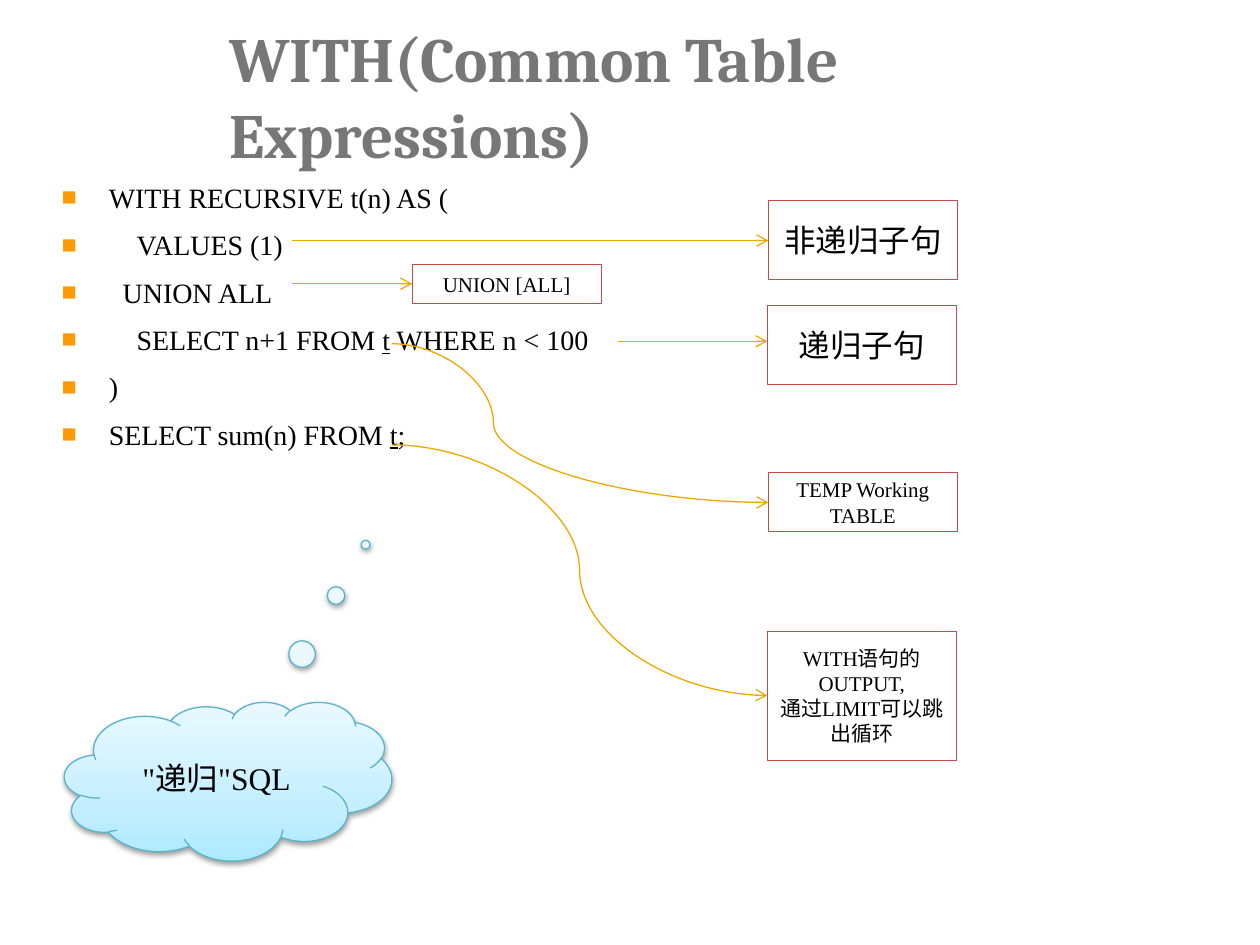
"""Build a slide that explains recursive common table expressions."""
from typing import NamedTuple, Optional

from lxml.etree import SubElement as Sub
from pptx import Presentation
from pptx.dml.color import RGBColor
from pptx.enum.shapes import MSO_CONNECTOR as Link, MSO_SHAPE as Kind
from pptx.enum.text import MSO_ANCHOR as Anchor, MSO_AUTO_SIZE as Fit, PP_ALIGN as Align
from pptx.oxml.ns import qn
from pptx.util import Cm, Pt

BLACK = RGBColor(0x00, 0x00, 0x00)
WHITE = RGBColor(0xFF, 0xFF, 0xFF)
GREY = RGBColor(0x77, 0x77, 0x77)
ORANGE = RGBColor(0xFF, 0x99, 0x00)
RED = RGBColor(0xC6, 0x48, 0x47)
GOLD = RGBColor(0xEB, 0xA9, 0x00)
TEAL = RGBColor(0x5B, 0xB3, 0xCA)
SKY = (
    (0, RGBColor(0xAD, 0xE9, 0xFF)),
    (35, RGBColor(0xC5, 0xEF, 0xFF)),
    (100, RGBColor(0xE9, 0xF9, 0xFF)),
)
SERIF = "Times New Roman"
HANG = 0.95
WIDE = 3.81


class Code(NamedTuple):
    runs: tuple[str, ...]
    shift: float = 0


class Box(NamedTuple):
    x: float
    y: float
    high: float
    size: int
    lines: tuple[str, ...]


class Arrow(NamedTuple):
    x1: float
    y1: float
    x2: float
    y2: float
    bend: Optional[float] = None


CODE = (
    Code(("WITH RECURSIVE t(n) AS (",)),
    Code(("VALUES (1)",), 0.56),
    Code(("UNION ALL",), 0.28),
    Code(("SELECT n+1 FROM ", "t", " WHERE n < 100"), 0.56),
    Code((")",)),
    Code(("SELECT sum(n) FROM ", "t", ";")),
)
BOXES = (
    Box(15.49, 4.04, 1.6, 18, ("非递归子句",)),
    Box(15.47, 6.15, 1.6, 18, ("递归子句",)),
    Box(8.31, 5.33, 0.79, 12, ("UNION [ALL]",)),
    Box(15.49, 9.53, 1.19, 12, ("TEMP Working TABLE",)),
    Box(15.47, 12.73, 2.59, 12, ("WITH语句的OUTPUT,", "通过LIMIT可以跳出循环")),
)
ARROWS = (
    Arrow(5.89, 4.85, 15.49, 4.85),
    Arrow(12.45, 6.88, 15.47, 6.88),
    Arrow(5.89, 5.72, 8.31, 5.72),
    Arrow(7.9, 6.93, 15.49, 10.13, 0.27),
    Arrow(7.9, 8.97, 15.47, 14.02, 0.5),
)


def place(shape, x: float, y: float, wide: float, high: float) -> None:
    shape.left, shape.top, shape.width, shape.height = map(Cm, (x, y, wide, high))


def add_run(para, text: str, size: int, color=BLACK, face: str = SERIF):
    run = para.add_run()
    run.text = text
    run.font.size = Pt(size)
    run.font.name = face
    run.font.color.rgb = color
    return run


def nth_para(frame, index: int):
    return frame.add_paragraph() if index else frame.paragraphs[0]


def fill_title(title) -> None:
    place(title, 4.37, 1.02, 19.76, 1.8)
    frame = title.text_frame
    frame.auto_size = Fit.NONE
    frame.vertical_anchor = Anchor.MIDDLE
    para = frame.paragraphs[0]
    para.alignment = Align.LEFT
    add_run(para, "WITH(Common Table Expressions)", 36, GREY, "Cambria").font.bold = True


def add_bullet(para, shift: float) -> None:
    props = para._p.get_or_add_pPr()
    props.set("marL", str(Cm(HANG + shift)))
    props.set("indent", str(-Cm(HANG + shift)))
    Sub(Sub(props, qn("a:buClr")), qn("a:srgbClr"), val=str(ORANGE))
    Sub(props, qn("a:buSzPct"), val="90000")
    Sub(props, qn("a:buFont"), typeface=SERIF)
    Sub(props, qn("a:buChar"), char="■")


def fill_body(body) -> None:
    place(body, 0.99, 3.38, 23.14, 13.89)
    frame = body.text_frame
    frame.auto_size = Fit.NONE
    for index, code in enumerate(CODE):
        para = nth_para(frame, index)
        para.line_spacing = 1.2
        para.space_before = Pt(4)
        add_bullet(para, code.shift)
        for text in code.runs:
            run = add_run(para, text, 16)
            if text == "t":
                run.font.underline = True


def fill_text(shape, lines: tuple[str, ...], size: int) -> None:
    frame = shape.text_frame
    frame.word_wrap = True
    frame.vertical_anchor = Anchor.MIDDLE
    for index, line in enumerate(lines):
        para = nth_para(frame, index)
        para.alignment = Align.CENTER
        add_run(para, line, size)


def draw_box(shapes, box: Box) -> None:
    shape = shapes.add_shape(Kind.RECTANGLE, Cm(box.x), Cm(box.y), Cm(WIDE), Cm(box.high))
    shape.shadow.inherit = False
    shape.fill.solid()
    shape.fill.fore_color.rgb = WHITE
    shape.line.color.rgb = RED
    shape.line.width = Pt(0.25)
    fill_text(shape, box.lines, box.size)


def draw_arrow(shapes, arrow: Arrow) -> None:
    kind = Link.STRAIGHT if arrow.bend is None else Link.CURVE
    line = shapes.add_connector(kind, *map(Cm, arrow[:4]))
    line.line.color.rgb = GOLD
    line.line.width = Pt(0.75)
    props = line._element.spPr
    Sub(props.find(qn("a:ln")), qn("a:tailEnd"), type="arrow")
    Sub(props, qn("a:effectLst"))
    if arrow.bend is not None:
        guides = props.find(qn("a:prstGeom")).get_or_add_avLst()
        Sub(guides, qn("a:gd"), name="adj1", fmla=f"val {round(arrow.bend * 100000)}")


def draw_cloud(shapes) -> None:
    cloud = shapes.add_shape(Kind.CLOUD_CALLOUT, Cm(1.3), Cm(14.15), Cm(6.6), Cm(3.2))
    cloud.adjustments[0] = 0.42
    cloud.adjustments[1] = -1.49
    cloud.line.color.rgb = TEAL
    cloud.line.width = Pt(0.75)
    cloud.fill.gradient()
    cloud.fill.gradient_angle = 90
    cloud.shadow.inherit = False
    props = cloud._element.spPr
    stops = props.find(qn("a:gradFill")).find(qn("a:gsLst"))
    for stop in list(stops):
        stops.remove(stop)
    for spot, color in SKY:
        stop = Sub(stops, qn("a:gs"), pos=str(spot * 1000))
        Sub(stop, qn("a:srgbClr"), val=str(color))
    shade = Sub(
        props.find(qn("a:effectLst")), qn("a:outerShdw"), blurRad=str(Pt(3.1)),
        dist=str(Pt(1.6)), dir="5400000", rotWithShape="0",
    )
    Sub(Sub(shade, qn("a:srgbClr"), val=str(BLACK)), qn("a:alpha"), val="38000")
    fill_text(cloud, ('"递归"SQL',), 18)


def main() -> None:
    deck = Presentation()
    deck.slide_width, deck.slide_height = Cm(25.4), Cm(19.05)
    slide = deck.slides.add_slide(deck.slide_layouts[1])
    shapes = slide.shapes
    fill_title(shapes.title)
    fill_body(slide.placeholders[1])
    for box in BOXES:
        draw_box(shapes, box)
    for arrow in ARROWS:
        draw_arrow(shapes, arrow)
    draw_cloud(shapes)
    deck.save("out.pptx")


if __name__ == "__main__":
    main()
